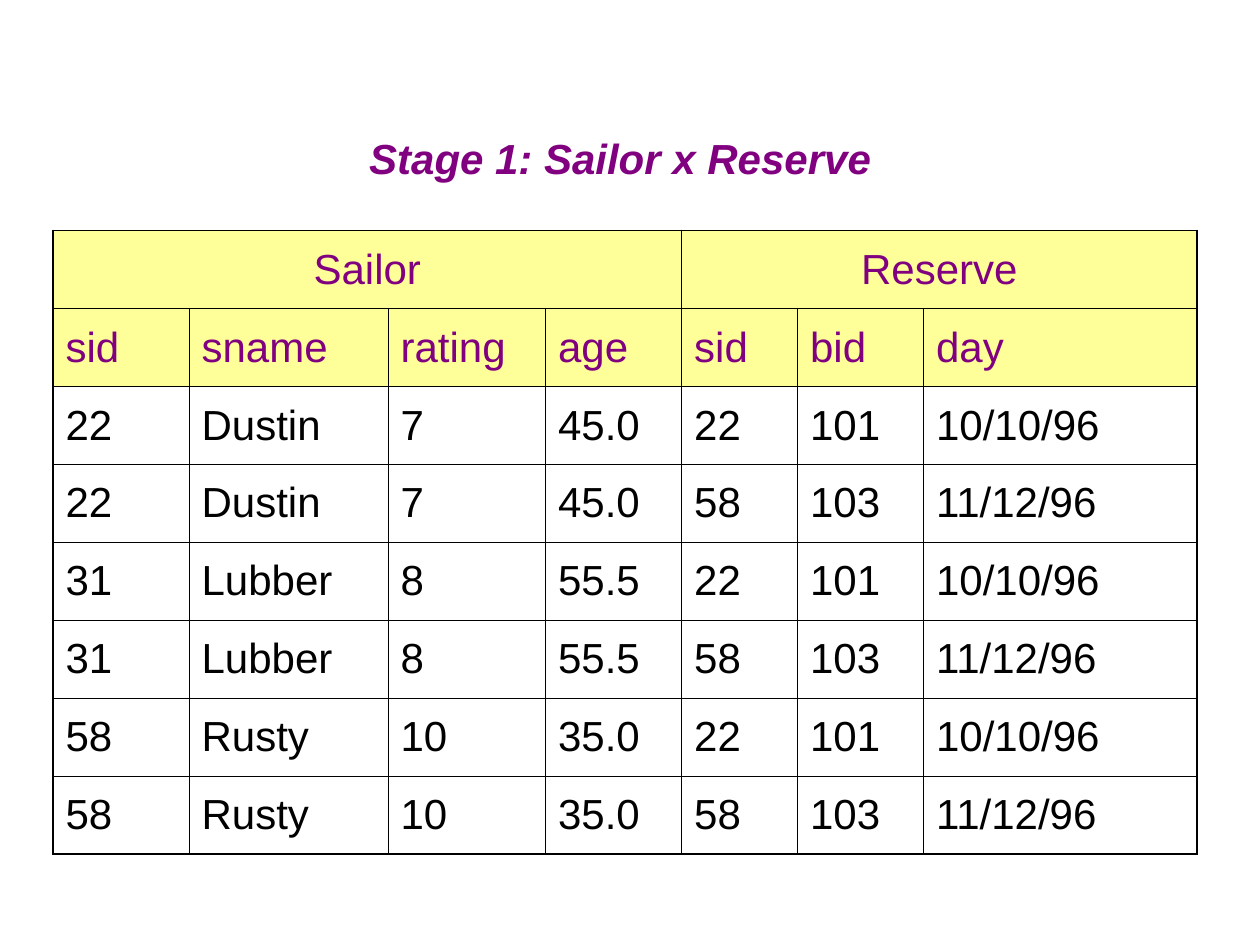
from dataclasses import dataclass
from itertools import product

from lxml.etree import SubElement
from pptx import Presentation
from pptx.dml.color import RGBColor
from pptx.enum.text import MSO_ANCHOR, PP_ALIGN
from pptx.oxml.ns import qn
from pptx.table import Table, _Cell
from pptx.text.text import _Paragraph
from pptx.util import Inches, Pt

PURPLE = RGBColor(0x80, 0x00, 0x80)
YELLOW = RGBColor(0xFF, 0xFF, 0x99)
BLACK = RGBColor(0x00, 0x00, 0x00)
THIN, THICK = Pt(0.45), Pt(1.08)
FONT = {"name": "Arial", "size": Pt(24), "bold": False, "italic": False}
INSETS = {
    "margin_left": Inches(0.1),
    "margin_right": Inches(0.1),
    "margin_top": Inches(0.05),
    "margin_bottom": Inches(0.05),
}


@dataclass(frozen=True)
class Group:
    name: str
    fields: tuple[str, ...]
    widths: tuple[float, ...]
    rows: tuple[tuple[str, ...], ...]


SAILOR = Group(
    "Sailor",
    ("sid", "sname", "rating", "age"),
    (1.08, 1.58, 1.25, 1.08),
    (("22", "Dustin", "7", "45.0"), ("31", "Lubber", "8", "55.5"), ("58", "Rusty", "10", "35.0")),
)
RESERVE = Group(
    "Reserve",
    ("sid", "bid", "day"),
    (0.92, 1, 2.17),
    (("22", "101", "10/10/96"), ("58", "103", "11/12/96")),
)


def apply(target: object, values: dict) -> None:
    for name, value in values.items():
        setattr(target, name, value)


def write(para: _Paragraph, text: str, color: RGBColor, align: PP_ALIGN, **extra: bool) -> None:
    para.text = text
    para.alignment = align
    apply(para.font, FONT | extra)
    para.font.color.rgb = color


def border(cell: _Cell, sides: dict[str, int]) -> None:
    props = cell._tc.get_or_add_tcPr()
    for side, width in sides.items():
        line = SubElement(props, qn(f"a:ln{side}"), w=str(int(width)))
        fill = SubElement(line, qn("a:solidFill"))
        SubElement(fill, qn("a:srgbClr"), val=str(BLACK))


def dress(table: Table, row: int, col: int) -> None:
    cell = table.cell(row, col)
    span = cell.span_width if cell.is_merge_origin else 1
    edges = {
        "L": col == 0,
        "R": col + span == len(table.columns),
        "T": row == 0,
        "B": row + 1 == len(table.rows),
    }
    border(cell, {side: THICK if outer else THIN for side, outer in edges.items()})
    apply(cell, INSETS | {"vertical_anchor": MSO_ANCHOR.MIDDLE})
    if row < 2:
        cell.fill.solid()
        cell.fill.fore_color.rgb = YELLOW
    else:
        cell.fill.background()


def main() -> None:
    deck = Presentation()
    apply(deck, {"slide_width": Inches(10), "slide_height": Inches(7.5)})
    slide = deck.slides.add_slide(deck.slide_layouts[5])

    title = slide.shapes.title
    apply(title, {"left": Inches(2.83), "top": Inches(1), "width": Inches(5), "height": Inches(0.5)})
    apply(title.text_frame, INSETS | {"word_wrap": True, "vertical_anchor": MSO_ANCHOR.TOP})
    write(title.text_frame.paragraphs[0], "Stage 1: Sailor x Reserve", PURPLE, PP_ALIGN.LEFT, bold=True, italic=True)

    lines = [SAILOR.fields + RESERVE.fields]
    lines += [left + right for left, right in product(SAILOR.rows, RESERVE.rows)]
    widths = SAILOR.widths + RESERVE.widths
    frame = slide.shapes.add_table(
        len(lines) + 1, len(widths), Inches(0.42), Inches(1.83), Inches(sum(widths)), Inches(4.95)
    )
    table = frame.table
    apply(table, {"first_row": False, "horz_banding": False})
    for column, width in zip(table.columns, widths):
        column.width = Inches(width)

    start = 0
    for group in (SAILOR, RESERVE):
        head = table.cell(0, start)
        start += len(group.fields)
        head.merge(table.cell(0, start - 1))
        write(head.text_frame.paragraphs[0], group.name, PURPLE, PP_ALIGN.CENTER)

    for row, line in enumerate(lines, 1):
        for col, text in enumerate(line):
            para = table.cell(row, col).text_frame.paragraphs[0]
            write(para, text, PURPLE if row == 1 else BLACK, PP_ALIGN.LEFT)

    for row, col in product(range(len(table.rows)), range(len(widths))):
        dress(table, row, col)

    deck.save("out.pptx")


if __name__ == "__main__":
    main()
